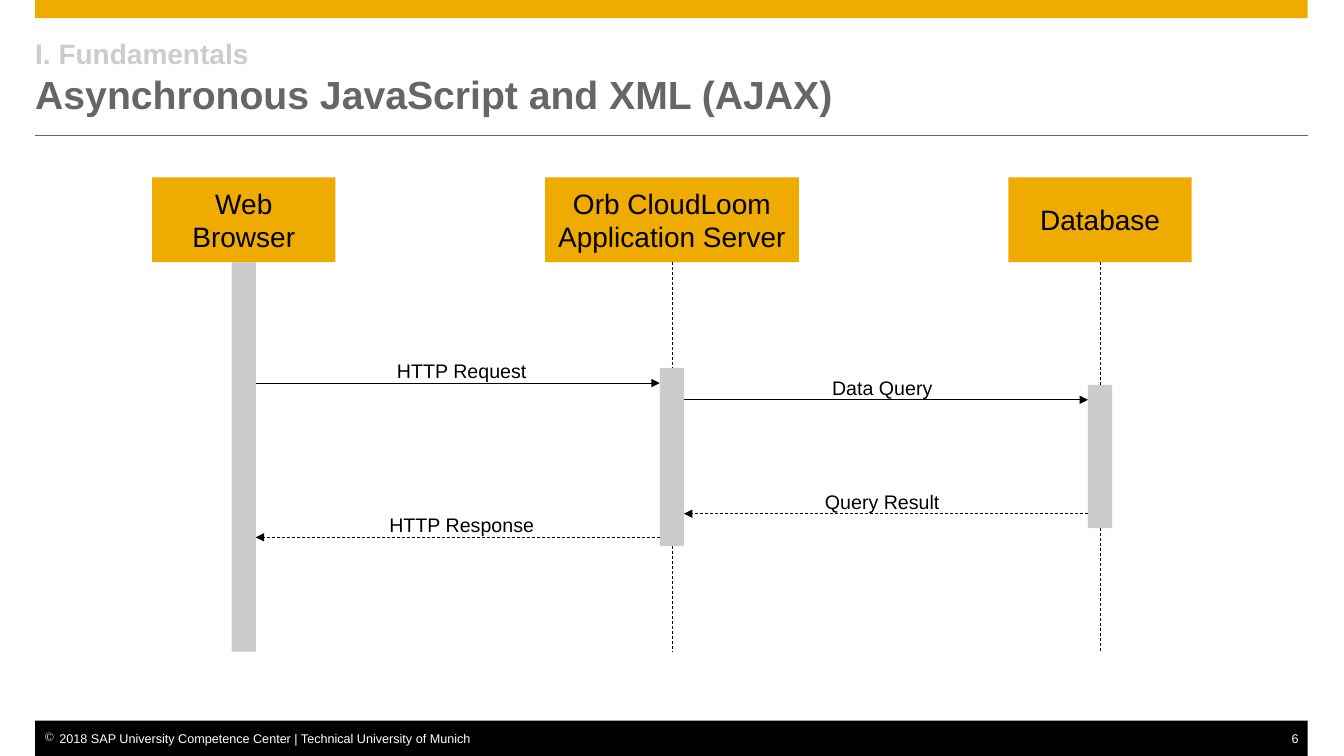
import pptx
import pptx.dml.color
import pptx.enum.dml
import pptx.enum.shapes
import pptx.enum.text
import pptx.oxml
import pptx.oxml.ns
import pptx.util
from dataclasses import dataclass

Pt = pptx.util.Pt
Align = pptx.enum.text.PP_ALIGN
Anchor = pptx.enum.text.MSO_ANCHOR


@dataclass(frozen=True)
class Theme:
    font: str = "Arial"
    gold: str = "F0AB00"
    gray: str = "666666"
    light: str = "CCCCCC"
    black: str = "000000"
    white: str = "FFFFFF"
    title: float = 28
    head: float = 20
    label: float = 14
    small: float = 9
    rule: float = 0.5


THEME = Theme()
LEFT, WIDE = 25.2, 909.4       # content margin and width
RIGHT = LEFT + WIDE
TOP, HIGH = 126.7, 60.5        # lane heads
START, END = TOP + HIGH, 465.5  # lifelines
BAR = 17.3                     # activation bar width

# name: centre, head text, head width, bar top, bar bottom
LANES = {
    "web": (174.2, "Web Browser", 131, START, END),
    "app": (480.2, "Orb CloudLoom Application Server", 181.4, 262.8, 390.2),
    "data": (786.2, "Database", 131, 275, 377.3),
}
# text, from, to, y, label centre, dashed
CALLS = [
    ("HTTP Request", "web", "app", 273.6, 330, False),
    ("Data Query", "app", "data", 285.6, 630.5, False),
    ("Query Result", "data", "app", 366.9, 630.5, True),
    ("HTTP Response", "app", "web", 383.8, 330, True),
]


def rgb(color):
    return pptx.dml.color.RGBColor.from_string(color)


def apply(item, values):
    for name, value in values.items():
        setattr(item, name, value)


def add_xml(parent, text):
    space = pptx.oxml.ns.nsdecls("a")
    parent.append(pptx.oxml.parse_xml(text.replace("/>", f" {space}/>", 1)))


def write(shape, runs, align=Align.LEFT, inset=(0, 0, 0, 0), **frame):
    """Fill a shape with one paragraph; each run (text, size, color, bold) is a line."""
    body = shape.text_frame
    sides = ("margin_left", "margin_top", "margin_right", "margin_bottom")
    apply(body, {"word_wrap": True, **dict(zip(sides, map(Pt, inset))), **frame})
    para = body.paragraphs[0]
    para.alignment = align
    for index, (text, size, color, bold) in enumerate(runs):
        if index:
            para.add_line_break()
        run = para.add_run()
        run.text = text
        apply(run.font, {"name": THEME.font, "size": Pt(size), "bold": bold})
        run.font.color.rgb = rgb(color)
    return para


def add_text(slide, x, y, w, h, runs, **style):
    box = slide.shapes.add_textbox(Pt(x), Pt(y), Pt(w), Pt(h))
    return write(box, runs, **style)


def add_rect(slide, x, y, w, h, color):
    kind = pptx.enum.shapes.MSO_SHAPE.RECTANGLE
    shape = slide.shapes.add_shape(kind, Pt(x), Pt(y), Pt(w), Pt(h))
    shape.shadow.inherit = False
    shape.fill.solid()
    shape.fill.fore_color.rgb = rgb(color)
    shape.line.fill.background()
    return shape


def add_line(slide, x1, y1, x2, y2, color=THEME.black, dashed=False, arrow=False):
    kind = pptx.enum.shapes.MSO_CONNECTOR.STRAIGHT
    link = slide.shapes.add_connector(kind, Pt(x1), Pt(y1), Pt(x2), Pt(y2))
    link.line.color.rgb = rgb(color)
    link.line.width = Pt(THEME.rule)
    if dashed:
        link.line.dash_style = pptx.enum.dml.MSO_LINE.DASH
    if arrow:
        add_xml(link.line._get_or_add_ln(), '<a:tailEnd type="triangle"/>')
    add_xml(link._element.spPr, "<a:effectLst/>")


def add_frame(slide):
    # Top band, title and rule
    add_rect(slide, LEFT, 0, WIDE, 13, THEME.gold)
    add_line(slide, LEFT, 97, RIGHT, 97, THEME.gray)
    add_text(slide, LEFT, 25.2, WIDE, 59.8, [
        ("I. Fundamentals", THEME.head, THEME.light, True),
        ("Asynchronous JavaScript and XML (AJAX)", THEME.title, THEME.gray, True),
    ], vertical_anchor=Anchor.MIDDLE)

    # Footer
    add_rect(slide, LEFT, 514.8, WIDE, 25.2, THEME.black)
    owner = "2018 SAP University Competence Center | Technical University of Munich"
    note = add_text(slide, LEFT, 522, 315.4, 10.8,
                    [(owner, THEME.small, THEME.white, False)],
                    inset=(6.5, 0, 0, 0), word_wrap=False)
    props = note._p.get_or_add_pPr()
    indent = Pt(10.8)
    props.set("marL", str(indent))
    props.set("indent", str(-indent))
    add_xml(props, '<a:buChar char="©"/>')
    add_text(slide, RIGHT - 18, 522, 18, 10.8,
             [("6", THEME.small, THEME.white, False)],
             align=Align.RIGHT, inset=(0, 0, 6.5, 0), word_wrap=False)


def add_lane(slide, mid, text, wide, top, bottom):
    head = add_rect(slide, mid - wide / 2, TOP, wide, HIGH, THEME.gold)
    write(head, [(text, THEME.head, THEME.black, False)], align=Align.CENTER,
          inset=(7.2, 5.8, 7.2, 5.8), vertical_anchor=Anchor.MIDDLE)
    add_rect(slide, mid - BAR / 2, top, BAR, bottom - top, THEME.light)
    for y1, y2 in ((START, top), (bottom, END)):
        if y2 > y1:
            add_line(slide, mid, y1, mid, y2, dashed=True)


def add_call(slide, text, source, target, y, mid, dashed):
    x1, x2 = LANES[source][0], LANES[target][0]
    edge = BAR / 2 if x2 > x1 else -BAR / 2
    add_line(slide, x1 + edge, y, x2 - edge, y, dashed=dashed, arrow=True)
    wide = 120
    add_text(slide, mid - wide / 2, y - 17.3, wide, 17.3,
             [(text, THEME.label, THEME.black, False)], align=Align.CENTER)


def main():
    deck = pptx.Presentation()
    apply(deck, {"slide_width": Pt(960.5), "slide_height": Pt(540)})
    slide = deck.slides.add_slide(deck.slide_layouts[6])
    add_frame(slide)
    # Sequence diagram
    for lane in LANES.values():
        add_lane(slide, *lane)
    for call in CALLS:
        add_call(slide, *call)
    deck.save("out.pptx")


if __name__ == "__main__":
    main()
